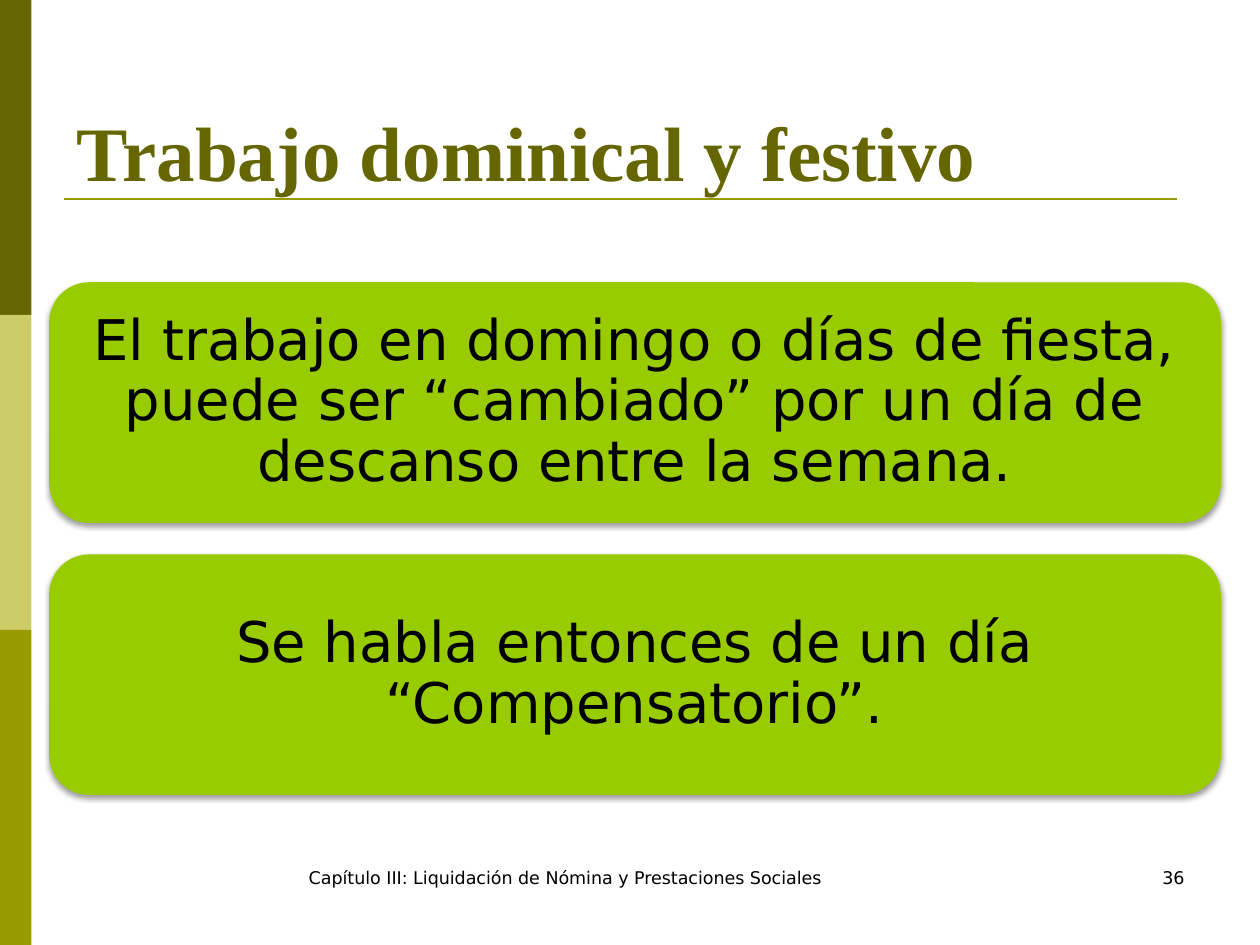
from lxml import etree
from pptx import Presentation, util as u
from pptx.dml.color import RGBColor
from pptx.enum import shapes, text
from pptx.oxml import parse_xml
from pptx.oxml.ns import nsdecls, qn

WIDTH, HEIGHT = u.Inches(10), u.Inches(7.5)
COLORS = {
    "dark": "666600",
    "light": "CCCC66",
    "olive": "999900",
    "card": "99CC00",
    "black": "000000",
}
BODY_FONT, TITLE_FONT = "DejaVu Sans", "Times New Roman"
TITLE = "Trabajo dominical y festivo"
CARDS = [
    "El trabajo en domingo o días de fiesta, puede ser “cambiado” por un día de descanso entre la semana.",
    "Se habla entonces de un día “Compensatorio”.",
]
FOOTER, PAGE_NUMBER = "Capítulo III: Liquidación de Nómina y Prestaciones Sociales", "36"


def inches(*lengths):
    """Convert lengths in inches to slide units."""
    return [u.Inches(length) for length in lengths]


def write(shape, words, size, font=BODY_FONT, color="black", bold=False,
          align=text.PP_ALIGN.LEFT, anchor=text.MSO_ANCHOR.TOP, inset=None, spacing=None):
    """Put formatted wording into a shape."""
    frame = shape.text_frame
    frame.word_wrap = True
    frame.auto_size = text.MSO_AUTO_SIZE.NONE
    frame.vertical_anchor = anchor
    if inset is not None:
        frame.margin_left = frame.margin_right = u.Inches(inset)
        frame.margin_top = frame.margin_bottom = u.Inches(inset)
    paragraph = frame.paragraphs[0]
    paragraph.alignment = align
    if spacing is not None:
        paragraph.line_spacing = spacing
    run = paragraph.add_run()
    run.text = words
    run.font.name, run.font.size, run.font.bold = font, u.Pt(size), bold
    run.font.color.rgb = RGBColor.from_string(COLORS[color])


def add_block(slide, kind, box, color):
    """Add a flat filled shape without an outline."""
    shape = slide.shapes.add_shape(kind, *box)
    shape.shadow.inherit = False
    shape.fill.solid()
    shape.fill.fore_color.rgb = RGBColor.from_string(COLORS[color])
    shape.line.fill.background()
    return shape


def add_soft_shadow(shape):
    """Give a shape a faint shadow below it."""
    effects = shape._element.spPr.find(qn("a:effectLst"))
    effects.append(parse_xml(
        f'<a:outerShdw {nsdecls("a")} blurRad="{u.Pt(3.1)}" dist="{u.Pt(1.6)}" '
        f'dir="5400000" algn="t" rotWithShape="0"><a:srgbClr val="{COLORS["black"]}">'
        '<a:alpha val="38000"/></a:srgbClr></a:outerShdw>'))


def add_sidebar(slide, left, top, width, height):
    """Stack equal colour bands down a narrow bar."""
    bands = ("dark", "light", "olive")
    band_height = height // len(bands)
    for index, color in enumerate(bands):
        box = (left, top + index * band_height, width, band_height)
        add_block(slide, shapes.MSO_SHAPE.RECTANGLE, box, color)


def add_heading(slide, left, top, width, height):
    """Place the title and the rule that underlines it."""
    rule_y = top + height - u.Inches(0.03)
    rule = slide.shapes.add_connector(
        shapes.MSO_CONNECTOR.STRAIGHT, left, rule_y, left + u.Inches(8.83), rule_y)
    rule.line.color.rgb = RGBColor.from_string(COLORS["olive"])
    rule.line.width = u.Pt(1.5)
    etree.SubElement(rule._element.spPr, qn("a:effectLst"))
    title = slide.shapes.title
    title.left, title.top, title.width, title.height = left, top, width, height
    write(title, TITLE, 44, font=TITLE_FONT, color="dark", bold=True,
          anchor=text.MSO_ANCHOR.BOTTOM)


def add_cards(slide, left, top, width, height):
    """Stack the rounded statement cards with equal gaps."""
    gap = u.Inches(0.25)
    card_height = (height - gap * (len(CARDS) - 1)) // len(CARDS)
    for index, words in enumerate(CARDS):
        box = (left, top + index * (card_height + gap), width, card_height)
        card = add_block(slide, shapes.MSO_SHAPE.ROUNDED_RECTANGLE, box, "card")
        add_soft_shadow(card)
        write(card, words, 32, align=text.PP_ALIGN.CENTER,
              anchor=text.MSO_ANCHOR.MIDDLE, inset=0.13, spacing=0.9)


def add_footer(slide, left, top, width, height):
    """Place the chapter name and the page number on one line."""
    number_width = u.Inches(2.33)
    chapter_width = u.Inches(5.23)
    chapter = slide.shapes.add_textbox(left, top, chapter_width, height)
    write(chapter, FOOTER, 10, align=text.PP_ALIGN.CENTER)
    number = slide.shapes.add_textbox(left + width - number_width, top, number_width, height)
    write(number, PAGE_NUMBER, 10, align=text.PP_ALIGN.RIGHT)


def main():
    """Build and save the slide."""
    presentation = Presentation()
    presentation.slide_width, presentation.slide_height = WIDTH, HEIGHT
    slide = presentation.slides.add_slide(presentation.slide_layouts[5])
    add_sidebar(slide, 0, 0, WIDTH // 40, HEIGHT)
    add_heading(slide, *inches(0.51, 0.36, 9, 1.25))
    add_cards(slide, *inches(0.39, 2.24, 9.3, 4.07))
    add_footer(slide, *inches(1.87, 6.83, 7.63, 0.5))
    presentation.save("out.pptx")


if __name__ == "__main__":
    main()
